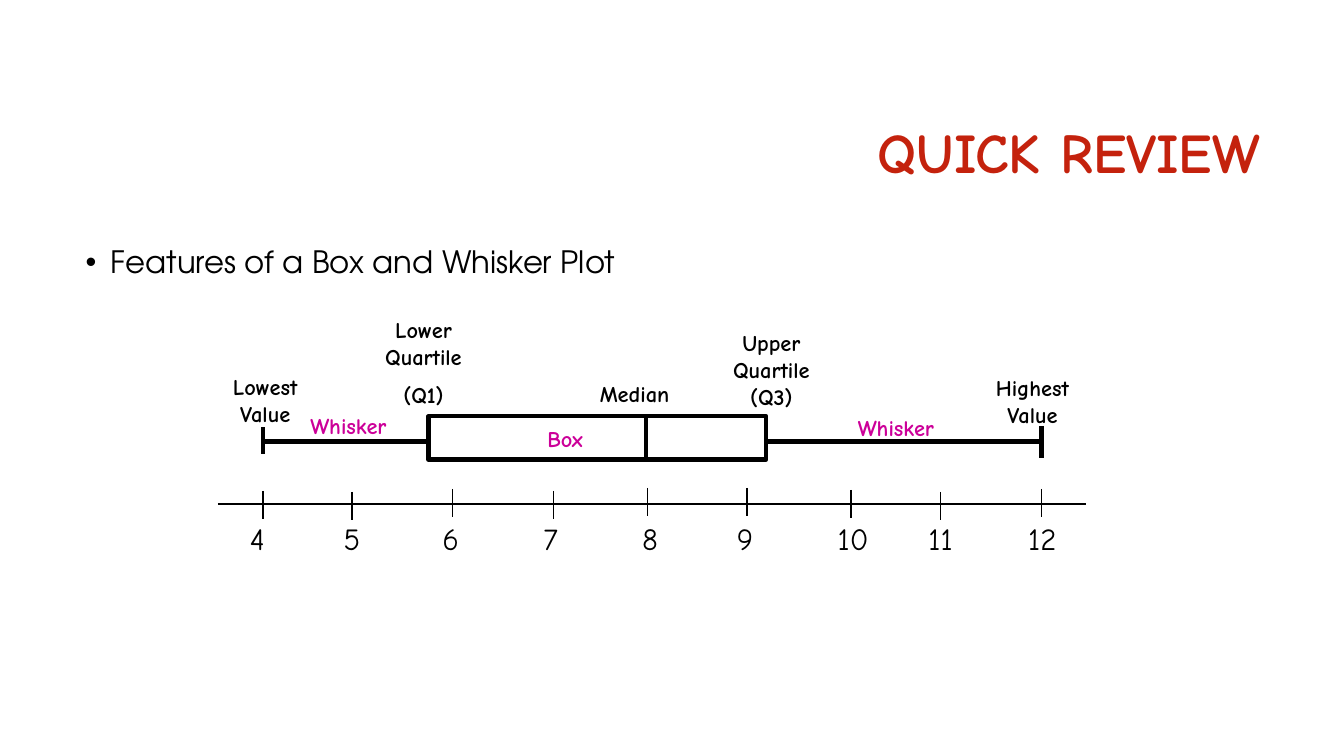
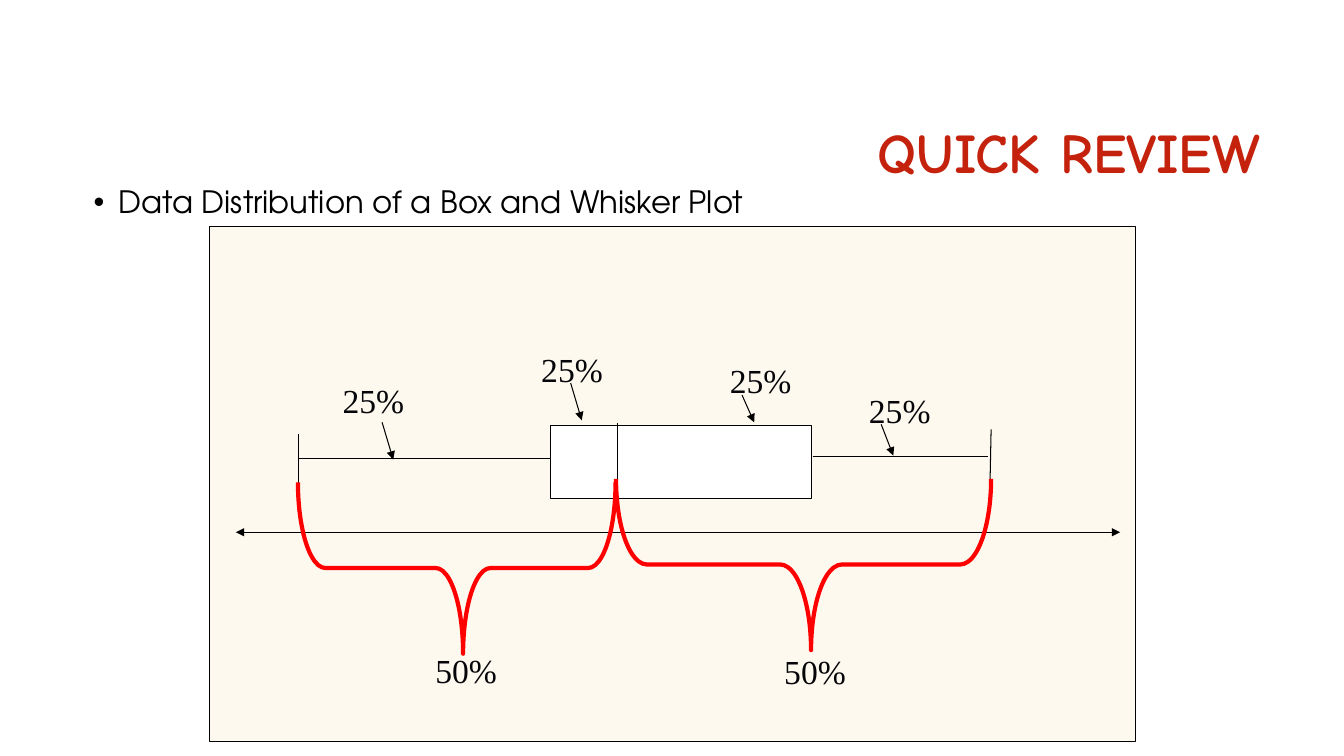
from lxml import etree
from pptx import Presentation
from pptx.dml.color import RGBColor
from pptx.enum.shapes import MSO_CONNECTOR, MSO_SHAPE
from pptx.enum.text import MSO_ANCHOR, PP_ALIGN
from pptx.oxml.ns import qn
from pptx.util import Inches, Pt

BLACK = RGBColor(0x00, 0x00, 0x00)
WHITE = RGBColor(0xFF, 0xFF, 0xFF)
INK = RGBColor(0x06, 0x06, 0x0A)
TITLE_RED = RGBColor(0xC4, 0x22, 0x0D)
BRACE_RED = RGBColor(0xFF, 0x00, 0x00)
MAGENTA = RGBColor(0xCC, 0x00, 0x99)
CREAM = RGBColor(0xFB, 0xF2, 0xD6)

COMIC = "Comic Neue"
ADVENTOR = "TeX Gyre Adventor"
TIMES = "Times New Roman"

LEFT, CENTER, RIGHT = PP_ALIGN.LEFT, PP_ALIGN.CENTER, PP_ALIGN.RIGHT
TOP, MIDDLE = MSO_ANCHOR.TOP, MSO_ANCHOR.MIDDLE
RECTANGLE, LEFT_BRACE = MSO_SHAPE.RECTANGLE, MSO_SHAPE.LEFT_BRACE
STRAIGHT = MSO_CONNECTOR.STRAIGHT

FEATURE_LABELS = [
    ("Median", 3.69, 0.63, 0.37, LEFT, BLACK),
    ("Lower Quartile\n(Q1)", 1.48, 0, 1.04, CENTER, BLACK),
    ("Upper Quartile (Q3)", 4.93, 0.13, 0.91, CENTER, BLACK),
    ("Lowest Value", -0.09, 0.56, 0.64, CENTER, BLACK),
    ("Highest Value", 7.52, 0.57, 0.64, CENTER, BLACK),
    ("Box", 3.17, 1.08, 0.37, LEFT, MAGENTA),
    ("Whisker", 6.25, 0.97, 0.37, LEFT, MAGENTA),
    ("Whisker", 0.82, 0.95, 0.37, LEFT, MAGENTA),
]
FEATURE_LINES = [
    (4.25, 1.47, 4.25, 1.04),
    (0.45, 1.29, 2.09, 1.29),
    (0.45, 1.15, 0.45, 1.41),
    (5.42, 1.29, 8.17, 1.29),
    (8.17, 1.14, 8.17, 1.45),
]
SCALE_TICKS = [
    (0.45, 1.78, 0.22), (1.33, 1.79, 1.15), (2.33, 1.76, 2.13),
    (3.33, 1.78, 3.13), (4.26, 1.75, 4.11), (5.25, 1.75, 5.05),
    (6.28, 1.77, 6.05), (7.17, 1.79, 6.95), (8.17, 1.76, 7.94),
]
FIRST_VALUE = 4

DISTRIBUTION_LINES = [
    (4.04, 2.7, 4.04, 1.95),
    (3.38, 2.3, 0.89, 2.3),
    (0.88, 2.55, 0.88, 2.06),
    (5.98, 2.28, 7.72, 2.28),
    (7.74, 2.52, 7.75, 2.01),
]
QUARTERS = [
    (1.22, 1.47, (1.71, 1.94, 1.82, 2.31)),
    (3.19, 1.16, (3.58, 1.55, 3.69, 1.92)),
    (5.06, 1.27, (5.28, 1.67, 5.4, 1.94)),
    (6.44, 1.57, (6.66, 1.96, 6.78, 2.27)),
]
HALVES = [
    (5.04, 1.49, 3.72, 0.18, 5.6, 4.16),
    (1.6, 1.81, 3.15, 0.16, 2.14, 4.15),
]


def add_text(page, text, left, top, width, height, *, font, size, color=BLACK,
             bold=False, align=LEFT, anchor=TOP, spacing=1.0, gap=0, bullet=False):
    """Place a text box with one paragraph for each line of the text."""
    box = page.shapes.add_textbox(Inches(left), Inches(top), Inches(width), Inches(height))
    frame = box.text_frame
    frame.word_wrap = True
    frame.vertical_anchor = anchor
    for index, line in enumerate(text.split("\n")):
        para = frame.add_paragraph() if index else frame.paragraphs[0]
        para.alignment = align
        para.line_spacing = spacing
        para.space_before = Pt(gap if index else 0)
        if bullet:
            properties = para._p.get_or_add_pPr()
            properties.set("marL", str(Inches(0.25)))
            properties.set("indent", str(-Inches(0.25)))
            etree.SubElement(properties, qn("a:buFont"), typeface="Arial")
            etree.SubElement(properties, qn("a:buChar"), char="•")
        span = para.add_run()
        span.text = line
        span.font.name = font
        span.font.size = Pt(size)
        span.font.bold = bold
        span.font.color.rgb = color


def add_line(page, left, top, ends, weight=0.75, head=False, tail=False):
    """Draw a black line whose ends are measured from the given corner."""
    x1, y1, x2, y2 = ends
    line = page.shapes.add_connector(STRAIGHT, Inches(left + x1), Inches(top + y1),
                                     Inches(left + x2), Inches(top + y2))
    line.line.color.rgb = BLACK
    line.line.width = Pt(weight)
    properties = line.element.spPr
    outline = properties.find(qn("a:ln"))
    for wanted, tag in ((head, "a:headEnd"), (tail, "a:tailEnd")):
        if wanted:
            etree.SubElement(outline, qn(tag), type="triangle")
    etree.SubElement(properties, qn("a:effectLst"))


def add_outline(page, kind, left, top, width, height, color=BLACK, weight=0.75,
                fill=None, opacity=100):
    """Draw a preset shape with an outline and an optional fill."""
    shape = page.shapes.add_shape(kind, Inches(left), Inches(top), Inches(width), Inches(height))
    shape.shadow.inherit = False
    shape.line.color.rgb = color
    shape.line.width = Pt(weight)
    if fill is None:
        shape.fill.background()
        return shape
    shape.fill.solid()
    shape.fill.fore_color.rgb = fill
    if opacity < 100:
        tint = shape.element.spPr.find(qn("a:solidFill")).find(qn("a:srgbClr"))
        etree.SubElement(tint, qn("a:alpha"), val=str(opacity * 1000))
    return shape


def add_review_page(deck, topic, left, top):
    """Add a blank page with the shared title and one bulleted topic."""
    page = deck.slides.add_slide(deck.slide_layouts[6])
    add_text(page, "QUICK REVIEW", 3.17, 0.84, 9.42, 1.41, font=COMIC, size=40,
             color=TITLE_RED, bold=True, align=RIGHT, anchor=MIDDLE, spacing=0.9)
    add_text(page, topic, left, top, 11.83, 4.4, font=ADVENTOR, size=22,
             spacing=0.9, bullet=True)
    return page


def draw_features(page, left, top):
    """Draw the box plot with its named parts."""
    add_outline(page, RECTANGLE, left + 2.09, top + 1.04, 3.35, 0.43, weight=3)
    for ends in FEATURE_LINES:
        add_line(page, left, top, ends, weight=3)
    for text, x, y, height, align, color in FEATURE_LABELS:
        add_text(page, text, left + x, top + y, 1.12, height, font=COMIC, size=16,
                 color=color, bold=True, align=align, gap=8)


def draw_scale(page, left, top):
    """Draw the number line below the box plot."""
    add_line(page, left, top, (0, 1.91, 8.61, 1.91), weight=1)
    for value, (x, y, label_x) in enumerate(SCALE_TICKS, FIRST_VALUE):
        add_line(page, left, top, (x, y, x, y + 0.28), weight=1)
        add_text(page, str(value), left + label_x, top + 2.02, 1.07, 0.47,
                 font=COMIC, size=22)


def draw_distribution(page, left, top):
    """Draw the panel with the box plot split into quarters and halves."""
    add_outline(page, RECTANGLE, left, top, 9.18, 5.11, fill=CREAM, opacity=40)
    add_line(page, left, top, (0.26, 3.03, 9.03, 3.03), head=True, tail=True)
    add_outline(page, RECTANGLE, left + 3.38, top + 1.97, 2.59, 0.73, fill=WHITE)
    for ends in DISTRIBUTION_LINES:
        add_line(page, left, top, ends)
    shares = [("25%", x, y) for x, y, _ in QUARTERS]
    for x, y, span, curve, label_x, label_y in HALVES:
        brace = add_outline(page, LEFT_BRACE, left + x, top + y, 1.7, span,
                            color=BRACE_RED, weight=3)
        brace.rotation = 270
        brace.adjustments[0] = curve
        brace.adjustments[1] = 0.52
        shares.append(("50%", label_x, label_y))
    for text, x, y in shares:
        add_text(page, text, left + x, top + y, 1.06, 0.5, font=TIMES, size=24, color=INK)
    for _, _, arrow in QUARTERS:
        add_line(page, left, top, arrow, tail=True)


def main():
    """Build and save the deck."""
    deck = Presentation()
    deck.slide_width = Inches(13.33)
    deck.slide_height = Inches(7.5)
    features = add_review_page(deck, "Features of a Box and Whisker Plot", 0.75, 2.4)
    draw_features(features, 2.16, 3.09)
    draw_scale(features, 2.16, 3.09)
    distribution = add_review_page(deck, "Data Distribution of a Box and Whisker Plot", 0.83, 1.81)
    draw_distribution(distribution, 2.08, 2.25)
    deck.save("out.pptx")


if __name__ == "__main__":
    main()
